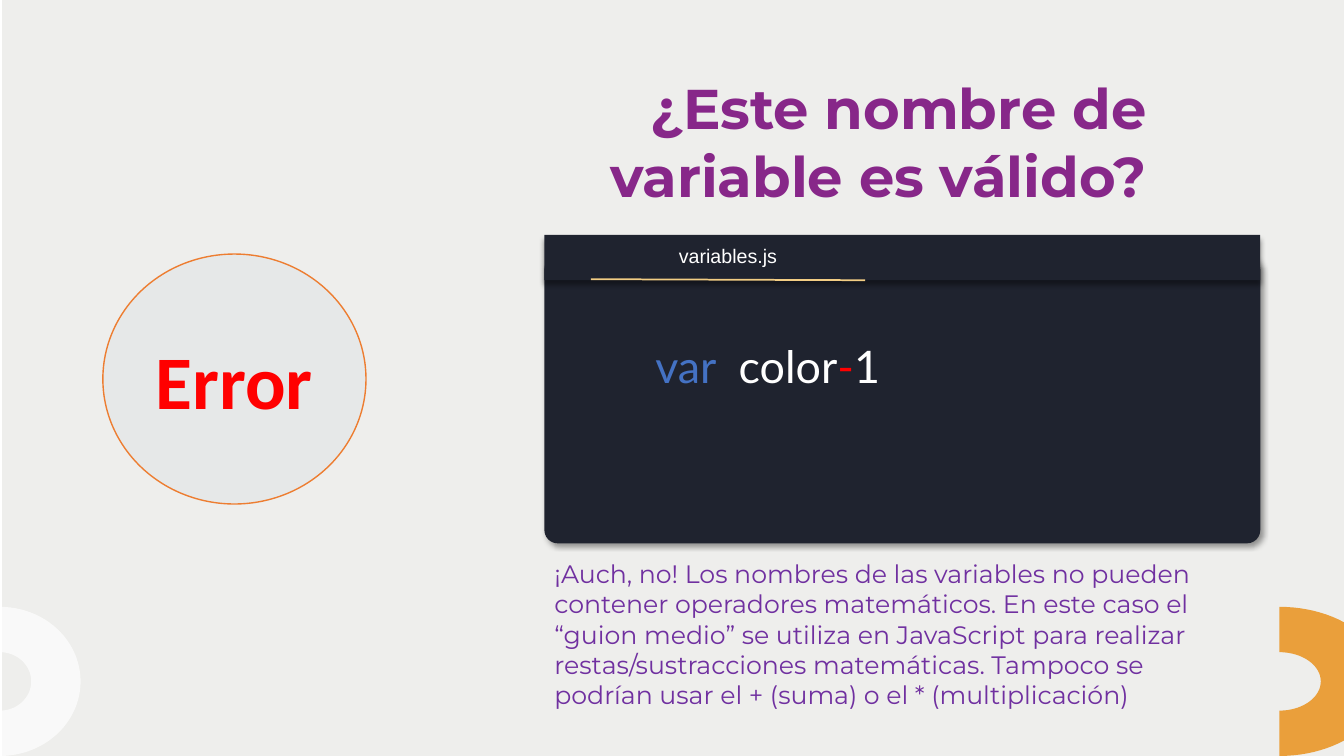
import math

from lxml import etree
from pptx import Presentation
from pptx.dml.color import RGBColor
from pptx.enum.shapes import MSO_CONNECTOR, MSO_SHAPE
from pptx.enum.text import MSO_ANCHOR, MSO_AUTO_SIZE, PP_ALIGN
from pptx.oxml import parse_xml
from pptx.oxml.ns import nsdecls, qn
from pptx.util import Inches, Pt

RECT, ROUND, OVAL = MSO_SHAPE.RECTANGLE, MSO_SHAPE.ROUNDED_RECTANGLE, MSO_SHAPE.OVAL
CENTER, RIGHT = PP_ALIGN.CENTER, PP_ALIGN.RIGHT
MIDDLE = MSO_ANCHOR.MIDDLE
C = {
    "background": "EEEEEC", "title": "872789", "editor": "1F232F", "white": "FFFFFF",
    "underline": "F2CD84", "ring": "EA9F3B", "badge": "E6E8E8", "outline": "ED7D31",
    "red": "FF0000", "keyword": "4472C4", "explanation": "7030A0",
}
C = {name: RGBColor.from_string(value) for name, value in C.items()}


def add_block(shapes, kind, x, y, w, h, color, shadow_angle=None):
    """Add a borderless filled shape, with a soft shadow if an angle is given."""
    sp = shapes.add_shape(kind, Inches(x), Inches(y), Inches(w), Inches(h))
    sp.fill.solid()
    sp.fill.fore_color.rgb = C[color]
    sp.line.fill.background()
    sp.shadow.inherit = False
    if shadow_angle is not None:
        effects = sp.element.spPr.find(qn("a:effectLst"))
        effects.append(parse_xml(
            f'<a:outerShdw {nsdecls("a")} blurRad="{Pt(4)}" dist="{Pt(3)}" '
            f'dir="{shadow_angle * 60000}" algn="ctr" rotWithShape="0">'
            '<a:srgbClr val="000000"><a:alpha val="40000"/></a:srgbClr></a:outerShdw>'))
    return sp


def write(sp, text, font, size, color, bold=False, align=None):
    tf = sp.text_frame
    tf.word_wrap = True
    p = tf.paragraphs[0]
    p.text = text
    p.alignment = align
    p.font.name, p.font.size, p.font.bold = font, Pt(size), bold
    p.font.color.rgb = C[color]


prs = Presentation()
prs.slide_width, prs.slide_height = Inches(13.33), Inches(7.5)
s = prs.slides.add_slide(prs.slide_layouts[5])

# Background and title
title = s.shapes.title
background = add_block(s.shapes, RECT, 0.02, 0, 13.31, 7.5, "background")
title.element.addprevious(background.element)
title.left, title.top, title.width, title.height = (Inches(v) for v in (5.7, 0.69, 5.77, 1.42))
write(title, "¿Este nombre de variable es válido?", "Montserrat", 40, "title", True, RIGHT)
title.text_frame.vertical_anchor = MIDDLE
title.text_frame.auto_size = MSO_AUTO_SIZE.NONE

# Code editor with its file tab
editor = add_block(s.shapes, ROUND, 5.4, 2.54, 7.1, 2.85, "editor", 45)
editor.adjustments[0] = 0.046
tab = s.shapes.add_group_shape()
add_block(tab.shapes, RECT, 5.4, 2.33, 7.1, 0.45, "editor", 90)
file_name = tab.shapes.add_textbox(Inches(5.86), Inches(2.37), Inches(2.72), Inches(0.34))
write(file_name, "variables.js", "Arial", 14, "white", align=CENTER)
underline = tab.shapes.add_connector(
    MSO_CONNECTOR.STRAIGHT, Inches(5.86), Inches(2.77), Inches(8.58), Inches(2.78))
underline.line.color.rgb = C["underline"]
underline.line.width = Pt(1.25)
etree.SubElement(underline.element.spPr, qn("a:effectLst"))

# Half rings at the bottom corners: centre x, outer and inner x radius, colour, opacity
CENTER_Y, OUTER_RY, INNER_RY, STEPS = 6.76, 0.74, 0.29, 48
for cx, outer_rx, inner_rx, color, opacity in (
        (0, 0.8, 0.31, "white", 70), (12.69, 1.05, 0.41, "ring", 100)):
    points = []
    for rx, ry, direction in ((outer_rx, OUTER_RY, 1), (inner_rx, INNER_RY, -1)):
        for i in range(STEPS + 1):
            angle = direction * math.pi * (i / STEPS - 0.5)
            x = min(cx + rx * math.cos(angle), 13.33)
            points.append((Inches(x), Inches(CENTER_Y + ry * math.sin(angle))))
    outline = s.shapes.build_freeform(*points[0])
    outline.add_line_segments(points[1:], close=True)
    ring = outline.convert_to_shape()
    ring.fill.solid()
    ring.fill.fore_color.rgb = C[color]
    ring.line.fill.background()
    ring.shadow.inherit = False
    if opacity < 100:
        fill_color = ring.element.spPr.find(qn("a:solidFill"))[0]
        etree.SubElement(fill_color, qn("a:alpha")).set("val", str(opacity * 1000))

# Verdict
badge = add_block(s.shapes, OVAL, 1.02, 2.52, 2.61, 2.48, "badge")
badge.line.color.rgb = C["outline"]
badge.line.width = Pt(1)
write(badge, "Error", "Calibri", 54, "red", True, CENTER)
badge.text_frame.vertical_anchor = MIDDLE

# Code line
code = s.shapes.add_textbox(Inches(6), Inches(3.36), Inches(5.16), Inches(0.94))
tf = code.text_frame
tf.word_wrap = True
tf.margin_left = tf.margin_top = tf.margin_right = tf.margin_bottom = 0
p = tf.paragraphs[0]
p.level = 1
pPr = p._p.get_or_add_pPr()
pPr.set("marL", str(Inches(0.5)))
pPr.set("indent", "0")
p.font.name, p.font.size = "Lato", Pt(32)
for text, color in (("var  ", "keyword"), ("color", "white"), ("-", "red"), ("1", "white")):
    r = p.add_run()
    r.text = text
    r.font.color.rgb = C[color]

# Explanation
explanation = s.shapes.add_textbox(Inches(5.4), Inches(5.49), Inches(6.67), Inches(1.62))
write(explanation,
      "¡Auch, no! Los nombres de las variables no pueden contener operadores matemáticos. "
      "En este caso el “guion medio” se utiliza en JavaScript para realizar "
      "restas/sustracciones matemáticas. Tampoco se podrían usar el + (suma) o el * "
      "(multiplicación)", "Montserrat", 18, "explanation")

prs.save("out.pptx")
